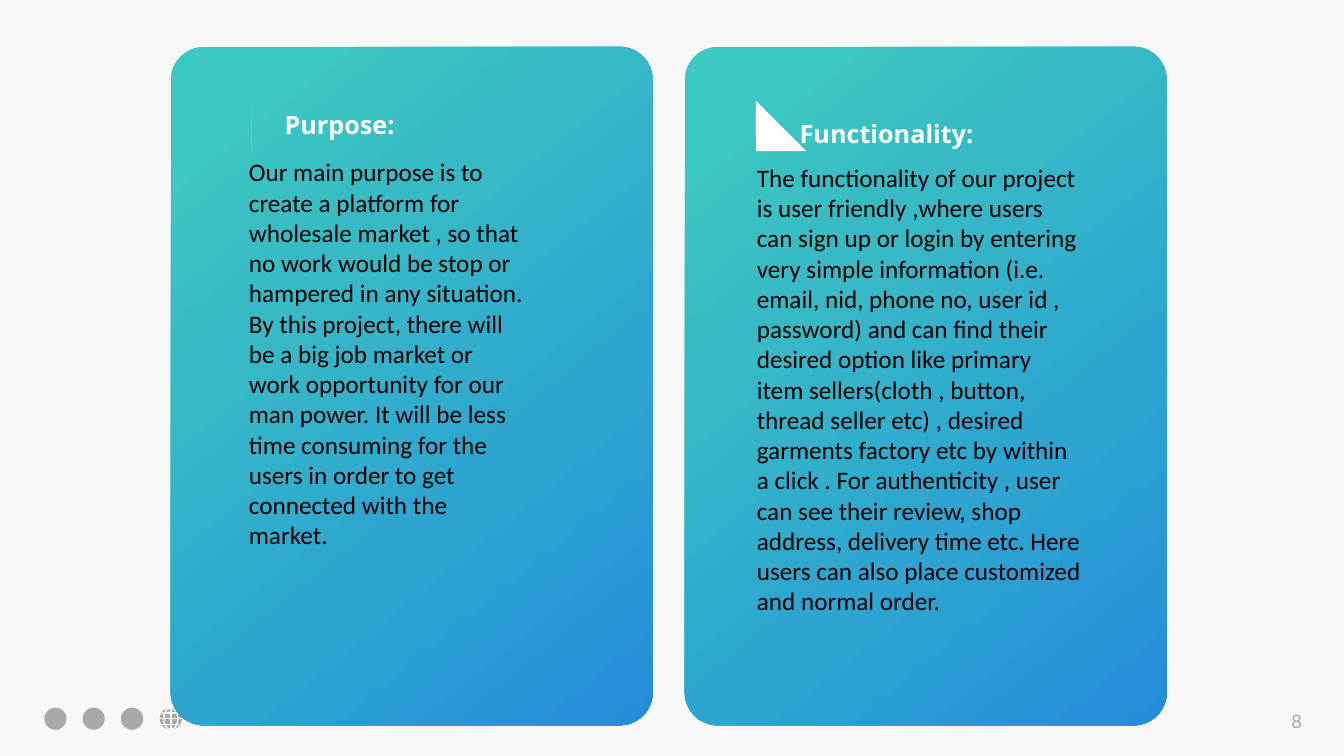
from dataclasses import dataclass
from lxml import etree
from pptx import Presentation
from pptx import util as u
from pptx.dml.color import RGBColor
from pptx.enum import shapes as sh, text as tx
from pptx.oxml import ns

In = u.Inches


@dataclass(frozen=True)
class Theme:
    """Colours, fonts and type sizes."""
    page: str = "F7F8F7"
    grey: str = "A8A9A8"
    white: str = "FFFFFF"
    black: str = "000000"
    stops: tuple = ((8, "3CC9C1"), (32, "37BAC5"), (64, "2DA5D0"), (100, "248DDA"))
    angle: int = 51
    head: str = "Open Sans"
    body: str = "Calibri"
    num: str = "Inter"
    large: int = 36
    small: int = 26


T = Theme()

PURPOSE = (
    "Our main purpose is to create a platform for wholesale market , so that no work "
    "would be stop or hampered in any situation. By this project, there will be a big "
    "job market or work opportunity for our man power. It will be less time consuming "
    "for the users in order to get connected with the market.")
FUNCTION = (
    "The functionality of our project is user friendly ,where users can sign up or login "
    "by entering very simple information (i.e. email, nid, phone no, user id , password) "
    "and can find their desired option like primary item sellers(cloth , button, thread "
    "seller etc) , desired garments factory etc by within a click . For authenticity , "
    "user can see their review, shop address, delivery time etc. Here users can also "
    "place customized and normal order.")

BOLT = [(4.79, 2.14), (5.14, 2.14), (5.17, 2.17), (5.03, 2.49), (5.23, 2.49),
        (5.26, 2.53), (4.85, 3.15), (4.82, 3.17), (4.79, 3.13), (4.88, 2.72),
        (4.6, 2.72), (4.57, 2.68), (4.76, 2.16)]
MID = 15.26
HALF = [(0.02, 2.16), (0.18, 2.45), (0.48, 2.51), (0.51, 2.53), (0.5, 2.56),
        (0.29, 2.8), (0.33, 3.11), (0.31, 3.14), (0.28, 3.14), (0, 3.01)]
STAR = [(MID + x, y) for x, y in HALF] + [(MID - x, y) for x, y in HALF[-2::-1]]


def paint(shape, color):
    """Give a shape a plain fill with no line or shadow."""
    shape.fill.solid()
    shape.fill.fore_color.rgb = RGBColor.from_string(color)
    shape.line.fill.background()
    shape.shadow.inherit = False


def label(slide, box, words, font, size, color, bold=False, pad=0.1, space=None,
          align=None, anchor=tx.MSO_ANCHOR.TOP):
    """Add a wrapped text box with one run."""
    frame = slide.shapes.add_textbox(*map(In, box)).text_frame
    frame.word_wrap = True
    frame.vertical_anchor = anchor
    frame.margin_top = frame.margin_bottom = In(pad)
    para = frame.paragraphs[0]
    para.alignment = align
    para.line_spacing = space
    run = para.add_run()
    run.text = words
    run.font.name, run.font.size, run.font.bold = font, u.Pt(size), bold
    run.font.color.rgb = RGBColor.from_string(color)


def panel(slide, left):
    """Add a rounded card with the theme gradient."""
    card = slide.shapes.add_shape(sh.MSO_SHAPE.ROUNDED_RECTANGLE,
                                  In(left), In(0.93), In(9.56), In(13.46))
    card.adjustments[0] = 0.068
    paint(card, T.white)
    card.fill.gradient()
    card.fill.gradient_angle = 360 - T.angle
    stops = card.element.spPr.find(ns.qn("a:gradFill")).find(ns.qn("a:gsLst"))
    for old in list(stops):
        stops.remove(old)
    for pos, color in T.stops:
        stop = etree.SubElement(stops, ns.qn("a:gs"), pos=str(pos * 1000))
        etree.SubElement(stop, ns.qn("a:srgbClr"), val=color)


def icon(slide, points):
    """Add a white closed outline through the points."""
    pen = slide.shapes.build_freeform(*points[0], scale=In(1))
    pen.add_line_segments(points[1:], close=True)
    paint(pen.convert_to_shape(), T.white)


def disc(slide, left, width=0.44):
    """Add a footer disc and return it."""
    dot = slide.shapes.add_shape(sh.MSO_SHAPE.OVAL, In(left), In(14.04),
                                 In(width), In(0.44))
    paint(dot, T.grey)
    return dot


def globe(slide, left):
    """Add a disc with a meridian ring and grid lines."""
    disc(slide, left)
    ring = disc(slide, left + 0.08, 0.28)
    ring.fill.background()
    pens = [ring.line]
    mid, row = left + 0.22, 14.26
    for ends in ((mid, 14.04, mid, 14.48), (left, row, left + 0.44, row),
                 (left + 0.05, 14.15, left + 0.39, 14.15),
                 (left + 0.05, 14.38, left + 0.39, 14.38)):
        rule = slide.shapes.add_connector(sh.MSO_CONNECTOR.STRAIGHT, *map(In, ends))
        etree.SubElement(rule.element.spPr, ns.qn("a:effectLst"))
        pens.append(rule.line)
    for pen in pens:
        pen.color.rgb = RGBColor.from_string(T.page)
        pen.width = u.Pt(2)


def footer(slide):
    """Add the contact marks and the page number."""
    first, step = 0.88, 0.76
    for i in range(3):
        disc(slide, first + i * step)
    globe(slide, 3.17)
    label(slide, (25.3, 14.01, 0.87, 0.58), "8", T.num, T.small, T.grey,
          align=tx.PP_ALIGN.CENTER, anchor=tx.MSO_ANCHOR.MIDDLE)


def main():
    """Build the slide and save it."""
    deck = Presentation()
    deck.slide_width, deck.slide_height = In(26.67), In(15)
    slide = deck.slides.add_slide(deck.slide_layouts[6])
    slide.background.fill.solid()
    slide.background.fill.fore_color.rgb = RGBColor.from_string(T.page)
    footer(slide)
    cards = (
        (3.39, BOLT, "Purpose:", (5.55, 2.01, 6.6, 1.29),
         PURPOSE, (4.84, 3.06, 5.68, 7.98)),
        (13.59, STAR, "Functionality:", (15.77, 2.19, 6.6, 0.98),
         FUNCTION, (14.92, 3.17, 6.67, 9.19)),
    )
    for left, mark, head, top, body, box in cards:
        panel(slide, left)
        label(slide, top, head, T.head, T.large, T.white, bold=True, space=1.1)
        icon(slide, mark)
        label(slide, box, body, T.body, T.large, T.black, pad=0.05)
    deck.save("out.pptx")


main()
